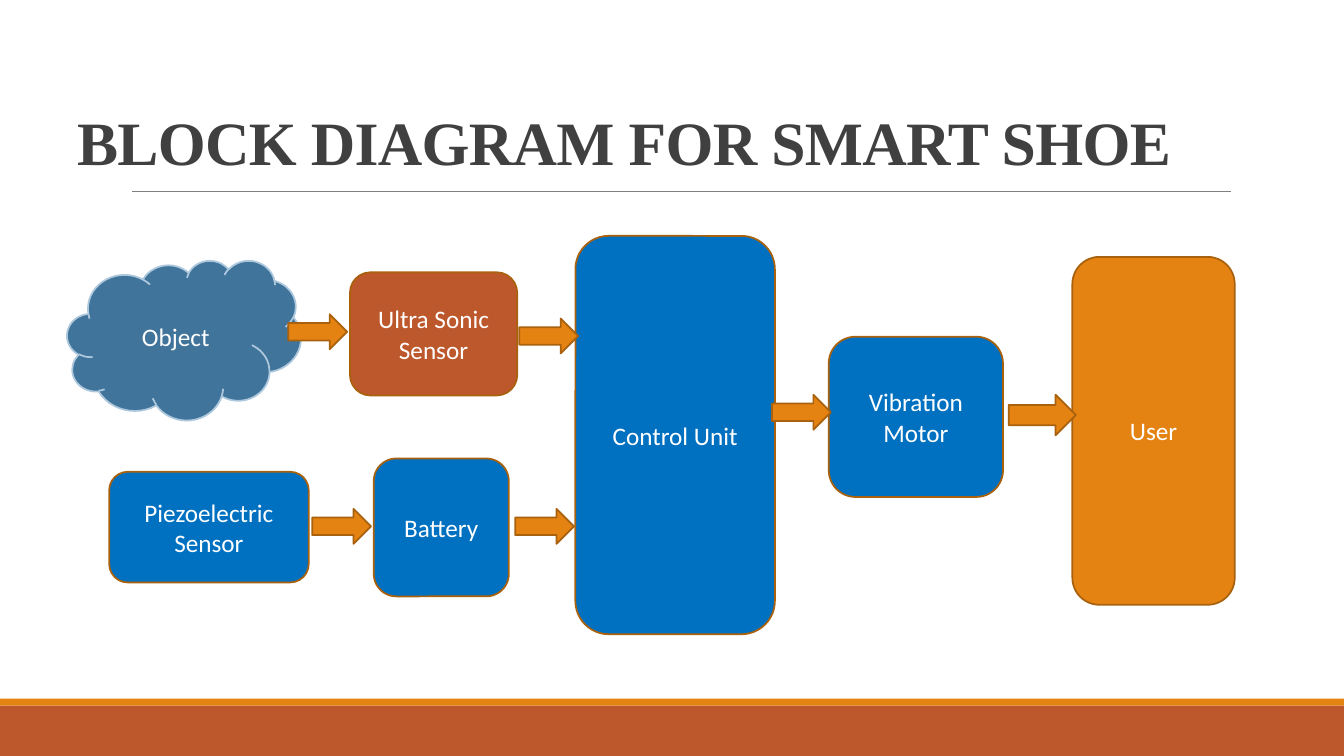
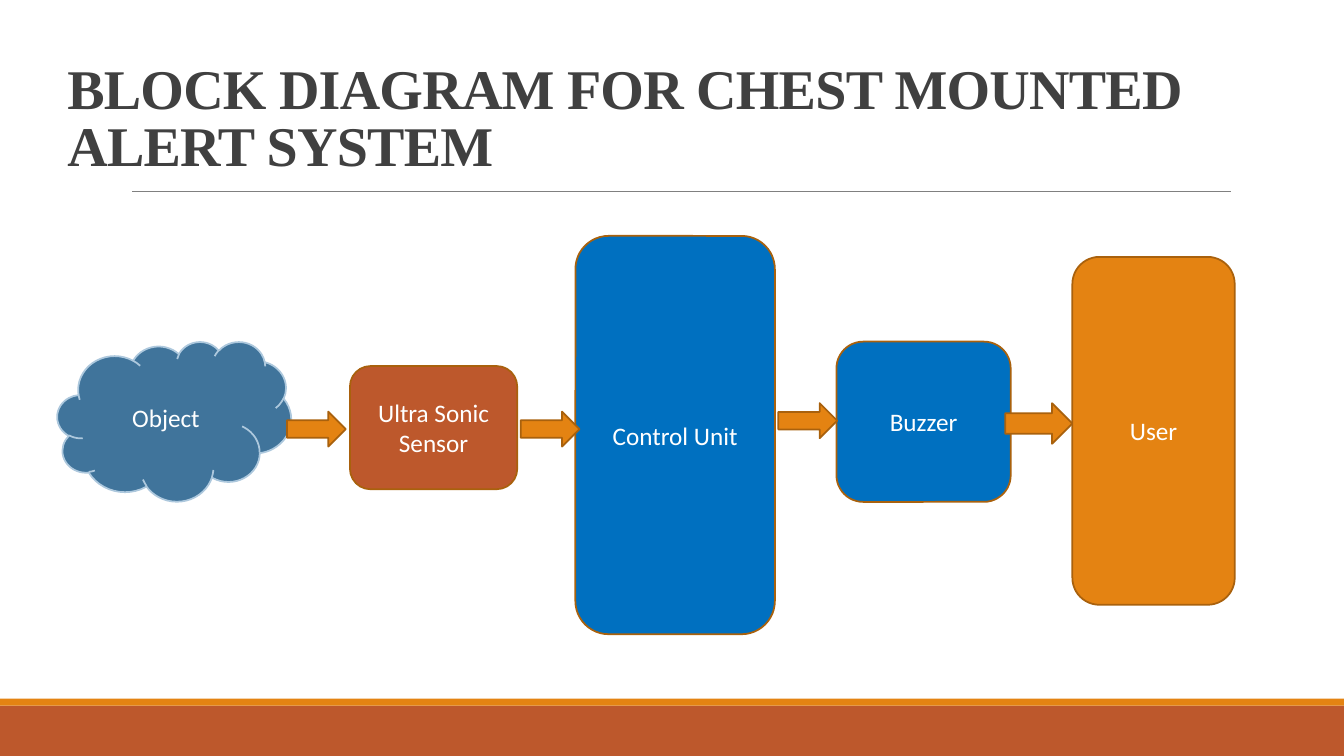
"""Build two block diagram slides for walking aids."""
from pptx import Presentation
from pptx.dml.color import RGBColor
from pptx.enum.shapes import MSO_CONNECTOR, MSO_SHAPE
from pptx.enum.text import MSO_ANCHOR, PP_ALIGN
from pptx.oxml.ns import qn
from pptx.util import Pt

RECT, ROUND = MSO_SHAPE.RECTANGLE, MSO_SHAPE.ROUNDED_RECTANGLE
CLOUD, ARROW = MSO_SHAPE.CLOUD, MSO_SHAPE.RIGHT_ARROW
STRAIGHT = MSO_CONNECTOR.STRAIGHT
MIDDLE, BOTTOM, CENTER = MSO_ANCHOR.MIDDLE, MSO_ANCHOR.BOTTOM, PP_ALIGN.CENTER

RUST = RGBColor(0xBD, 0x58, 0x2C)
ORANGE = RGBColor(0xE4, 0x83, 0x12)
BROWN = RGBColor(0xA9, 0x61, 0x0D)
BLUE = RGBColor(0x00, 0x70, 0xC0)
STEEL = RGBColor(0x40, 0x74, 0x9B)
PALE = RGBColor(0xAD, 0xC8, 0xDD)
DARK = RGBColor(0x40, 0x40, 0x40)
GRAY = RGBColor(0x80, 0x80, 0x80)
WHITE = RGBColor(0xFF, 0xFF, 0xFF)

WIDE, HIGH = 960, 540
BANDS = [(504, 36, RUST), (499, 5, ORANGE)]
RULE = {"left": 94.5, "right": 879, "top": 137}
TITLE = {"name": "Times New Roman", "bold": True}
LABEL = {"name": "Calibri", "size": Pt(18)}
SMALL, LARGE = (42, 25), (48, 29)

KINDS = {
    "cloud": (CLOUD, (167, 114), STEEL, PALE),
    "sensor": (ROUND, (119.5, 88), RUST, BROWN),
    "board": (ROUND, (142.5, 284.5), BLUE, BROWN),
    "output": (ROUND, (124.5, 114.5), BLUE, BROWN),
    "user": (ROUND, (116, 248.5), ORANGE, BROWN),
    "piezo": (ROUND, (142.5, 79), BLUE, BROWN),
    "battery": (ROUND, (96.5, 98.5), BLUE, BROWN),
}
SHARED = [
    ("board", "Control Unit", 411, 168.5),
    ("user", "User", 766, 183.5),
]
SLIDES = [
    {
        "title": "BLOCK DIAGRAM FOR SMART SHOE",
        "size": 44, "left": 48, "width": 875,
        "blocks": [
            ("sensor", "Ultra Sonic Sensor", 250, 194.5),
            ("piezo", "Piezoelectric Sensor", 78, 337),
            ("battery", "Battery", 267, 327.5),
            ("cloud", "Object", 48, 186),
            ("output", "Vibration Motor", 592, 240.5),
        ],
        "arrows": [
            (551.5, 282, SMALL), (371, 227.5, SMALL), (368, 363.5, SMALL),
            (206, 224.5, SMALL), (223, 363.5, SMALL), (720.5, 282, LARGE),
        ],
    },
    {
        "title": "BLOCK DIAGRAM FOR CHEST MOUNTED ALERT SYSTEM",
        "size": 40, "left": 41, "width": 866,
        "blocks": [
            ("sensor", "Ultra Sonic Sensor", 250, 261.5),
            ("output", "Buzzer", 597.5, 244),
            ("cloud", "Object", 41, 244),
        ],
        "arrows": [
            (556, 288, SMALL), (372, 294, SMALL),
            (205, 294, SMALL), (718, 288, LARGE),
        ],
    },
]


def write(frame, text, color, anchor, style):
    frame.word_wrap = True
    frame.vertical_anchor = anchor
    para = frame.paragraphs[0]
    run = para.add_run()
    run.text = text
    run.font.color.rgb = color
    for key, value in style.items():
        setattr(run.font, key, value)
    return para, run


def draw(slide, kind, box, fill, edge=None):
    shape = slide.shapes.add_shape(kind, *map(Pt, box))
    shape.shadow.inherit = False
    shape.fill.solid()
    shape.fill.fore_color.rgb = fill
    if edge is None:
        shape.line.fill.background()
    else:
        shape.line.color.rgb = edge
        shape.line.width = Pt(1.25)
    return shape


def frame_page(slide):
    for top, height, color in BANDS:
        draw(slide, RECT, (0, top, WIDE, height), color)
    ends = (RULE["left"], RULE["top"], RULE["right"], RULE["top"])
    rule = slide.shapes.add_connector(STRAIGHT, *map(Pt, ends))
    rule.line.color.rgb = GRAY
    rule.line.width = Pt(0.5)
    props = rule._element.spPr
    props.append(props.makeelement(qn("a:effectLst"), {}))


def add_title(slide, page):
    area = (page["left"], 16, page["width"], 114.5)
    box = slide.shapes.add_textbox(*map(Pt, area))
    style = {**TITLE, "size": Pt(page["size"])}
    para, run = write(box.text_frame, page["title"], DARK, BOTTOM, style)
    para.line_spacing = 0.85
    run._r.get_or_add_rPr().set("spc", "-50")


def add_block(slide, name, text, left, top):
    kind, size, fill, edge = KINDS[name]
    shape = draw(slide, kind, (left, top, *size), fill, edge)
    para, _ = write(shape.text_frame, text, WHITE, MIDDLE, LABEL)
    para.alignment = CENTER


def main():
    deck = Presentation()
    deck.slide_width, deck.slide_height = Pt(WIDE), Pt(HIGH)
    for page in SLIDES:
        slide = deck.slides.add_slide(deck.slide_layouts[6])
        frame_page(slide)
        add_title(slide, page)
        for block in SHARED + page["blocks"]:
            add_block(slide, *block)
        for left, top, size in page["arrows"]:
            draw(slide, ARROW, (left, top, *size), ORANGE, BROWN)
    deck.save("out.pptx")


if __name__ == "__main__":
    main()
